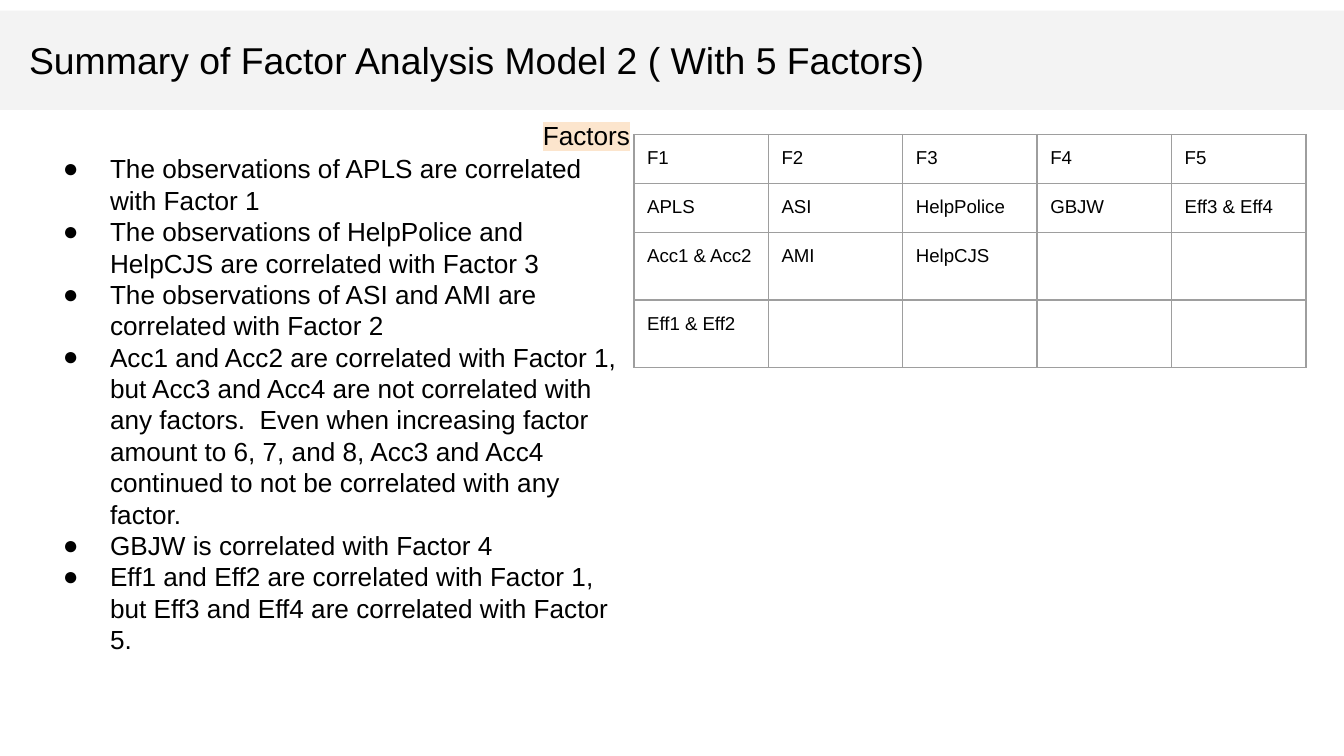
from lxml import etree
from pptx import Presentation
from pptx.dml.color import RGBColor
from pptx.enum.shapes import MSO_SHAPE
from pptx.oxml.ns import qn
from pptx.util import Cm, Pt

RECTANGLE = MSO_SHAPE.RECTANGLE

BLACK = RGBColor(0x00, 0x00, 0x00)
BAND_GRAY = RGBColor(0xF3, 0xF3, 0xF3)
BORDER_GRAY = RGBColor(0x9E, 0x9E, 0x9E)
HIGHLIGHT = RGBColor(0xFC, 0xE5, 0xCD)
FONT = "Arial"

TITLE = "Summary of Factor Analysis Model 2 ( With 5 Factors)"
TABLE_LABEL = "Factors"
FINDINGS = [
    "The observations of APLS are correlated with Factor 1",
    "The observations of HelpPolice and HelpCJS are correlated with Factor 3",
    "The observations of ASI and AMI are correlated with Factor 2",
    "Acc1 and Acc2 are correlated with Factor 1, but Acc3 and Acc4 are not "
    "correlated with any factors.  Even when increasing factor amount to 6, 7, "
    "and 8, Acc3 and Acc4 continued to not be correlated with any factor.",
    "GBJW is correlated with Factor 4",
    "Eff1 and Eff2 are correlated with Factor 1, but Eff3 and Eff4 are "
    "correlated with Factor 5.",
]
FACTOR_ROWS = [
    ["F1", "F2", "F3", "F4", "F5"],
    ["APLS", "ASI", "HelpPolice", "GBJW", "Eff3 & Eff4"],
    ["Acc1 & Acc2", "AMI", "HelpCJS", "", ""],
    ["Eff1 & Eff2", "", "", "", ""],
]
ROW_HEIGHTS = [0.93, 0.93, 1.27, 1.27]
COLUMN_WIDTH = 2.54
MARGIN = Cm(0.25)


def set_margins(box):
    box.margin_left = box.margin_right = MARGIN
    box.margin_top = box.margin_bottom = MARGIN


def add_run(paragraph, text, size):
    run = paragraph.add_run()
    run.text = text
    run.font.size = Pt(size)
    run.font.name = FONT
    run.font.color.rgb = BLACK
    return run


def add_text_frame(slide, left, top, width, height):
    box = slide.shapes.add_textbox(Cm(left), Cm(top), Cm(width), Cm(height))
    frame = box.text_frame
    frame.word_wrap = True
    set_margins(frame)
    return frame


def add_color(parent, color):
    etree.SubElement(parent, qn("a:srgbClr"), val=str(color))


def add_bullet(paragraph):
    properties = paragraph._p.get_or_add_pPr()
    properties.set("marL", str(Cm(1.27)))
    properties.set("indent", str(-Cm(0.89)))
    add_color(etree.SubElement(properties, qn("a:buClr")), BLACK)
    etree.SubElement(properties, qn("a:buFont"), typeface=FONT)
    etree.SubElement(properties, qn("a:buChar"), char="●")


def highlight(run):
    mark = etree.Element(qn("a:highlight"))
    add_color(mark, HIGHLIGHT)
    run._r.rPr.find(qn("a:solidFill")).addnext(mark)


def set_borders(cell):
    properties = cell._tc.get_or_add_tcPr()
    for position, side in enumerate(("a:lnL", "a:lnR", "a:lnT", "a:lnB")):
        line = etree.Element(qn(side), w=str(Pt(0.75)))
        add_color(etree.SubElement(line, qn("a:solidFill")), BORDER_GRAY)
        properties.insert(position, line)


def add_factor_table(slide):
    row_count, column_count = len(FACTOR_ROWS), len(FACTOR_ROWS[0])
    table = slide.shapes.add_table(
        row_count, column_count, Cm(11.98), Cm(2.54),
        Cm(COLUMN_WIDTH * column_count), Cm(sum(ROW_HEIGHTS)),
    ).table
    table.first_row = table.horz_banding = False
    for column in table.columns:
        column.width = Cm(COLUMN_WIDTH)
    for row, height, texts in zip(table.rows, ROW_HEIGHTS, FACTOR_ROWS):
        row.height = Cm(height)
        for cell, text in zip(row.cells, texts):
            set_margins(cell)
            cell.fill.background()
            set_borders(cell)
            if text:
                add_run(cell.text_frame.paragraphs[0], text, 10)


def main():
    presentation = Presentation()
    presentation.slide_width = Cm(25.4)
    presentation.slide_height = Cm(14.29)
    slide = presentation.slides.add_slide(presentation.slide_layouts[6])

    band = slide.shapes.add_shape(
        RECTANGLE, 0, Cm(0.2), presentation.slide_width, Cm(1.88))
    band.shadow.inherit = False
    band.fill.solid()
    band.fill.fore_color.rgb = BAND_GRAY
    band.line.fill.background()

    title = add_text_frame(slide, 0.3, 0.46, 19.53, 1.37)
    add_run(title.paragraphs[0], TITLE, 20)

    findings = add_text_frame(slide, 0.56, 2.64, 11.43, 10.87)
    for index, text in enumerate(FINDINGS):
        paragraph = findings.add_paragraph() if index else findings.paragraphs[0]
        paragraph.line_spacing = Pt(16.8)
        add_bullet(paragraph)
        add_run(paragraph, text, 14)

    add_factor_table(slide)

    label = add_text_frame(slide, 10.01, 2.01, 2.2, 0.74)
    highlight(add_run(label.paragraphs[0], TABLE_LABEL, 14))

    presentation.save("out.pptx")


if __name__ == "__main__":
    main()
